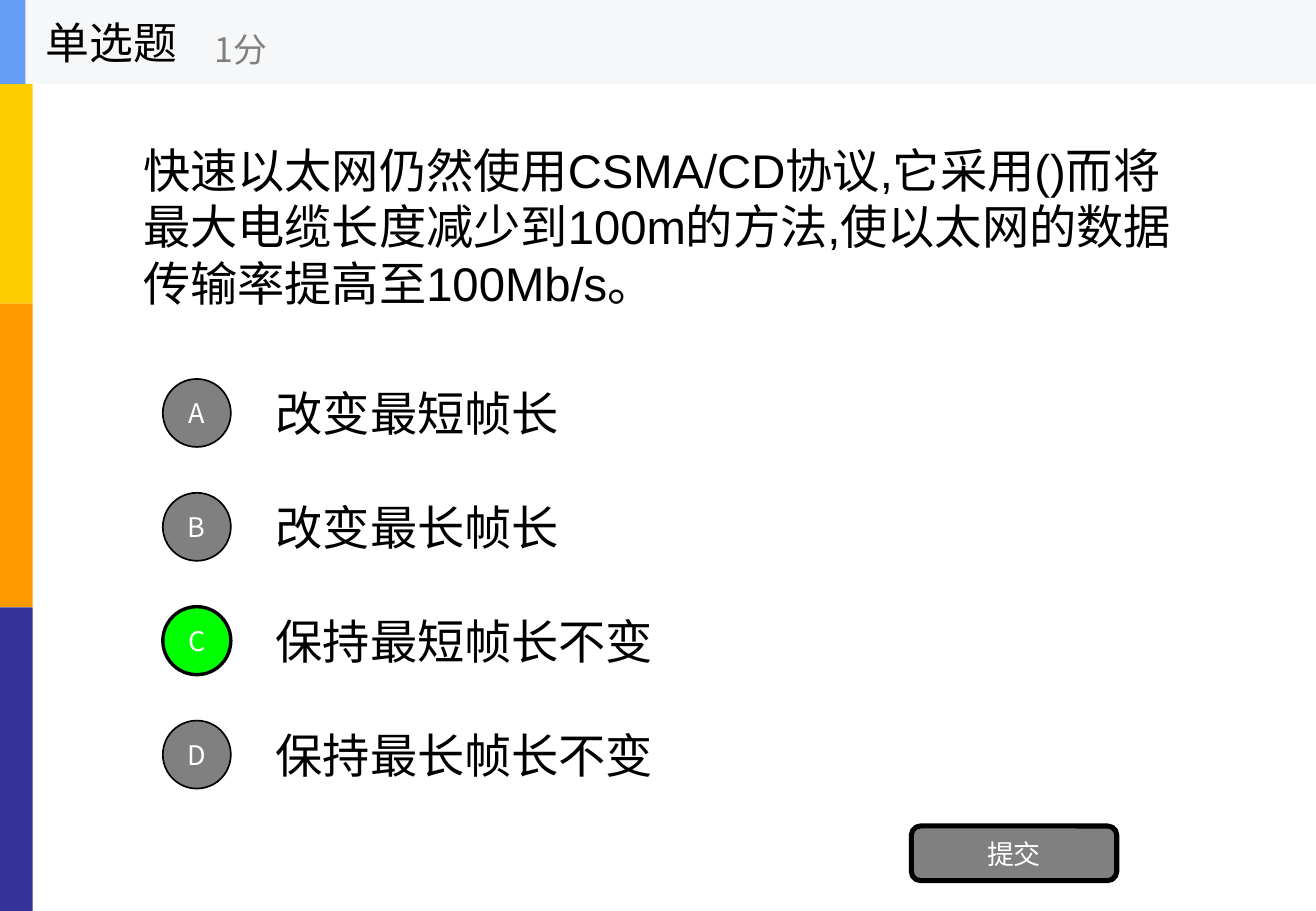
from lxml import etree
from pptx import Presentation
from pptx.dml.color import RGBColor
from pptx.enum.shapes import MSO_SHAPE
from pptx.enum.text import MSO_ANCHOR, PP_ALIGN
from pptx.oxml.ns import qn
from pptx.util import Inches, Pt

RECTANGLE = MSO_SHAPE.RECTANGLE
ROUNDED = MSO_SHAPE.ROUNDED_RECTANGLE
OVAL = MSO_SHAPE.OVAL
MIDDLE = MSO_ANCHOR.MIDDLE
LEFT, CENTER = PP_ALIGN.LEFT, PP_ALIGN.CENTER

SLIDE_WIDTH, SLIDE_HEIGHT = 10.83, 7.5
HEADER_HEIGHT = 0.69
OPTION_TOP, OPTION_HEIGHT = 3.05, 0.7
OPTION_PITCH = SLIDE_HEIGHT / 8
BADGE_SIZE = 0.56
CJK_FONT = "Noto Sans CJK SC"
BLACK, GRAY, WHITE, GREEN = "000000", "808080", "FFFFFF", "00FF00"

SIDE_COLORS = ["FFCC00", "FF9900", "333399"]
QUESTION = ("快速以太网仍然使用CSMA/CD协议,它采用()而将最大电缆长度减少到100m的方法,"
            "使以太网的数据传输率提高至100Mb/s。")
OPTIONS = {"A": "改变最短帧长", "B": "改变最长帧长",
           "C": "保持最短帧长不变", "D": "保持最长帧长不变"}
ANSWER = "C"


def rgb(color):
    return RGBColor.from_string(color)


def write_text(shape, text, size=16, color=WHITE, font=CJK_FONT, align=CENTER):
    frame = shape.text_frame
    frame.word_wrap = True
    frame.vertical_anchor = MIDDLE
    paragraph = frame.paragraphs[0]
    paragraph.alignment = align
    run = paragraph.add_run()
    run.text = text
    run.font.size = Pt(size)
    run.font.name = font
    run.font.color.rgb = rgb(color)
    # East Asian typeface
    east_asian = etree.SubElement(run.font._element, qn("a:ea"))
    east_asian.set("typeface", CJK_FONT)


def add_box(slide, kind, left, top, width, height, fill, line_width=0):
    shape = slide.shapes.add_shape(
        kind, Inches(left), Inches(top), Inches(width), Inches(height))
    shape.shadow.inherit = False
    shape.fill.solid()
    shape.fill.fore_color.rgb = rgb(fill)
    if line_width:
        shape.line.color.rgb = rgb(BLACK)
        shape.line.width = Pt(line_width)
    else:
        shape.line.fill.background()
    return shape


def add_label(slide, left, top, width, height, text, **text_format):
    box = slide.shapes.add_textbox(
        Inches(left), Inches(top), Inches(width), Inches(height))
    write_text(box, text, align=LEFT, **text_format)


def add_badge(slide, letter, top):
    correct = letter == ANSWER
    badge = add_box(slide, OVAL, 1.34, top, BADGE_SIZE, BADGE_SIZE,
                    GREEN if correct else GRAY, 2 if correct else 1)
    frame = badge.text_frame
    frame.margin_left = frame.margin_right = 0
    frame.margin_top = frame.margin_bottom = 0
    write_text(badge, letter)


def main():
    presentation = Presentation()
    presentation.slide_width = Inches(SLIDE_WIDTH)
    presentation.slide_height = Inches(SLIDE_HEIGHT)
    slide = presentation.slides.add_slide(presentation.slide_layouts[6])

    # Side bars
    bar_height = SLIDE_HEIGHT / len(SIDE_COLORS)
    for index, color in enumerate(SIDE_COLORS):
        add_box(slide, RECTANGLE, 0, index * bar_height, 0.27, bar_height, color)

    # Question and options
    body_format = {"size": 28, "color": BLACK, "font": "Arial"}
    add_label(slide, 1.08, HEADER_HEIGHT, 8.67, 2.34, QUESTION, **body_format)
    for index, (letter, answer) in enumerate(OPTIONS.items()):
        top = OPTION_TOP + index * OPTION_PITCH
        add_label(slide, 2.17, top, 7.58, OPTION_HEIGHT, answer, **body_format)
        add_badge(slide, letter, top + (OPTION_HEIGHT - BADGE_SIZE) / 2)

    # Submit button
    button = add_box(slide, ROUNDED, 7.5, 6.8, 1.69, 0.45, GRAY, 3)
    write_text(button, "提交")

    # Header
    add_box(slide, RECTANGLE, 0, 0, SLIDE_WIDTH, HEADER_HEIGHT, "F6F7F8")
    add_box(slide, RECTANGLE, 0, 0, 0.21, HEADER_HEIGHT, "639EF4")
    add_label(slide, 0.28, 0, 2.08, HEADER_HEIGHT, "单选题", size=26, color=BLACK)
    add_label(slide, 1.67, 0.12, 2.5, 0.56, "1分", size=20, color=GRAY)

    presentation.save("out.pptx")


if __name__ == "__main__":
    main()
